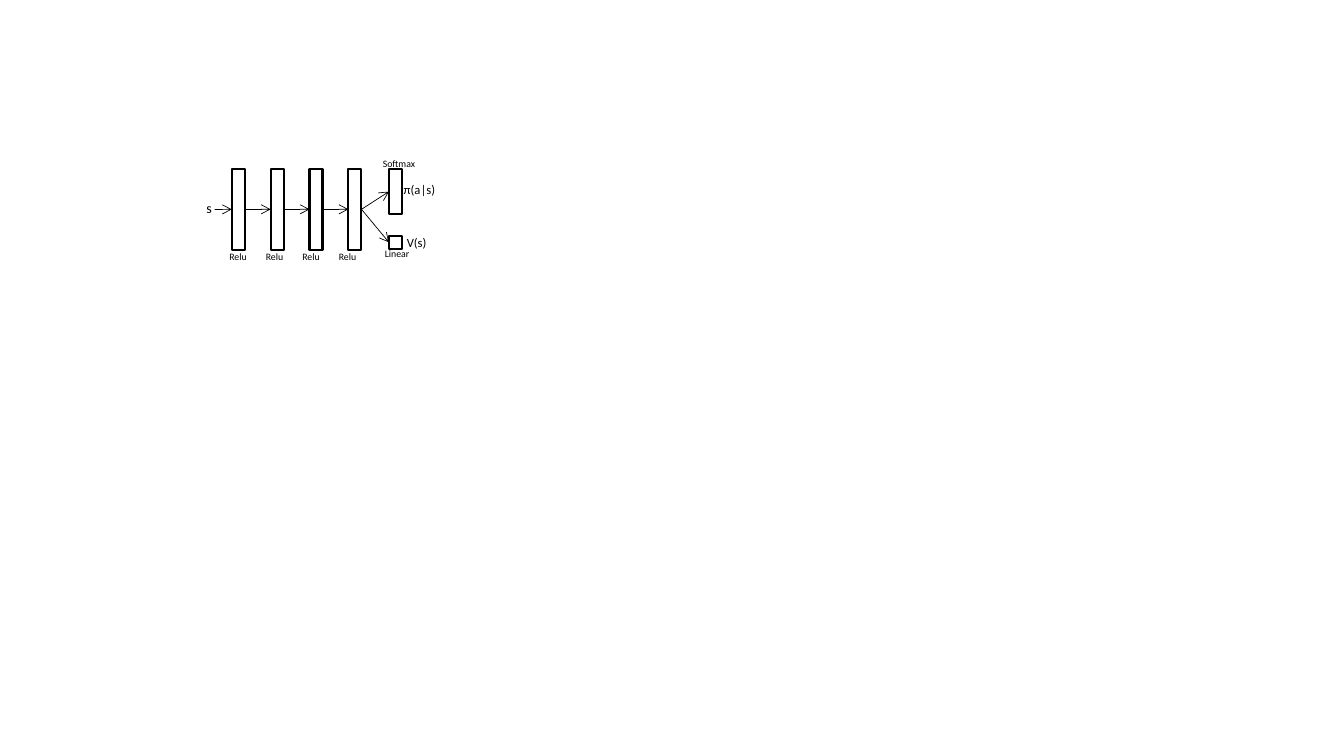
from dataclasses import dataclass
from itertools import pairwise

from lxml.etree import SubElement
from pptx import Presentation
from pptx.dml.color import RGBColor
from pptx.enum.shapes import MSO_CONNECTOR, MSO_SHAPE
from pptx.enum.text import PP_ALIGN
from pptx.oxml.ns import qn
from pptx.util import Cm, Pt


@dataclass(frozen=True)
class Theme:
    """Colours, font, type sizes and line widths."""
    ink: RGBColor = RGBColor(0, 0, 0)
    font: str = "Calibri"
    caption: float = 7
    output: float = 9
    input: float = 10
    outline: float = 1.5
    arrow: float = 0.5


T = Theme()
LAYERS = 4
LAYER_PITCH = 0.98
LABEL_PITCH = 0.92
BAR_WIDTH = 0.33
RIGHT_SITE, LEFT_SITE = 3, 1


def add_bar(s, x, y, h):
    """Add an unfilled, outlined network layer."""
    bar = s.shapes.add_shape(MSO_SHAPE.RECTANGLE, Cm(x), Cm(y), Cm(BAR_WIDTH), Cm(h))
    bar.shadow.inherit = False
    bar.fill.background()
    bar.line.color.rgb = T.ink
    bar.line.width = Pt(T.outline)
    return bar


def add_arrow(s, target, source=None, x=0, y=0):
    """Add an arrow to a bar, from another bar or from a point."""
    c = s.shapes.add_connector(MSO_CONNECTOR.STRAIGHT, Cm(x), Cm(y), Cm(x), Cm(y))
    if source is not None:
        c.begin_connect(source, RIGHT_SITE)
    c.end_connect(target, LEFT_SITE)
    c.line.color.rgb = T.ink
    c.line.width = Pt(T.arrow)
    sp_pr = c._element.spPr
    SubElement(sp_pr.find(qn("a:ln")), qn("a:tailEnd"), type="arrow")
    SubElement(sp_pr, qn("a:effectLst"))


def add_label(s, text, x, y, w, h, size, align=PP_ALIGN.LEFT, wrap=True):
    """Add a one-line label and return its paragraph."""
    tf = s.shapes.add_textbox(Cm(x), Cm(y), Cm(w), Cm(h)).text_frame
    tf.word_wrap = wrap
    p = tf.paragraphs[0]
    p.text = text
    p.alignment = align
    p.font.name = T.font
    p.font.size = Pt(size)
    p.font.color.rgb = T.ink
    return p


def add_tab_stops(p, count, pitch):
    """Give a paragraph evenly spaced left tab stops."""
    p_pr = p._p.get_or_add_pPr()
    tabs = p_pr.makeelement(qn("a:tabLst"))
    p_pr.find(qn("a:defRPr")).addprevious(tabs)
    for i in range(1, count + 1):
        SubElement(tabs, qn("a:tab"), pos=str(Cm(i * pitch)), algn="l")


def add_hidden_layers(s, x, y):
    """Draw the input, the chain of layers and their labels; return the last layer."""
    layers = [add_bar(s, x + 0.89 + i * LAYER_PITCH, y + 0.39, 2.05)
              for i in range(LAYERS)]
    add_arrow(s, layers[0], x=x + 0.46, y=y + 1.42)
    for source, target in pairwise(layers):
        add_arrow(s, target, source)
    add_label(s, "s", x, y + 1.04, 0.64, 0.69, T.input, wrap=False)
    p = add_label(s, "\t".join(["Relu"] * LAYERS), x + 0.58, y + 2.34, 6.12, 0.56, T.caption)
    add_tab_stops(p, LAYERS - 1, LABEL_PITCH)
    return layers[-1]


def add_output_heads(s, x, y, source):
    """Draw the policy and value heads fed by the last layer."""
    for top, height in ((0.41, 1.12), (2.08, 0.33)):
        add_arrow(s, add_bar(s, x + 0.4, y + top, height), source)
    add_label(s, "π(a|s)", x + 0.27, y + 0.61, 1.8, 0.64, T.output, PP_ALIGN.CENTER)
    add_label(s, "V(s)", x + 0.45, y + 1.93, 1.3, 0.64, T.output, PP_ALIGN.CENTER)
    add_label(s, "Softmax", x, y, 6.12, 0.56, T.caption)
    add_label(s, "Linear", x + 0.05, y + 2.26, 6.12, 0.56, T.caption)


def add_network(s, x, y):
    """Draw the whole policy and value network from its top left corner."""
    last = add_hidden_layers(s, x, y)
    add_output_heads(s, x + 4.45, y, last)


def main():
    """Build and save the slide."""
    prs = Presentation()
    prs.slide_width, prs.slide_height = Cm(33.87), Cm(19.05)
    s = prs.slides.add_slide(prs.slide_layouts[6])
    add_network(s, 4.95, 3.86)
    prs.save("out.pptx")


main()
